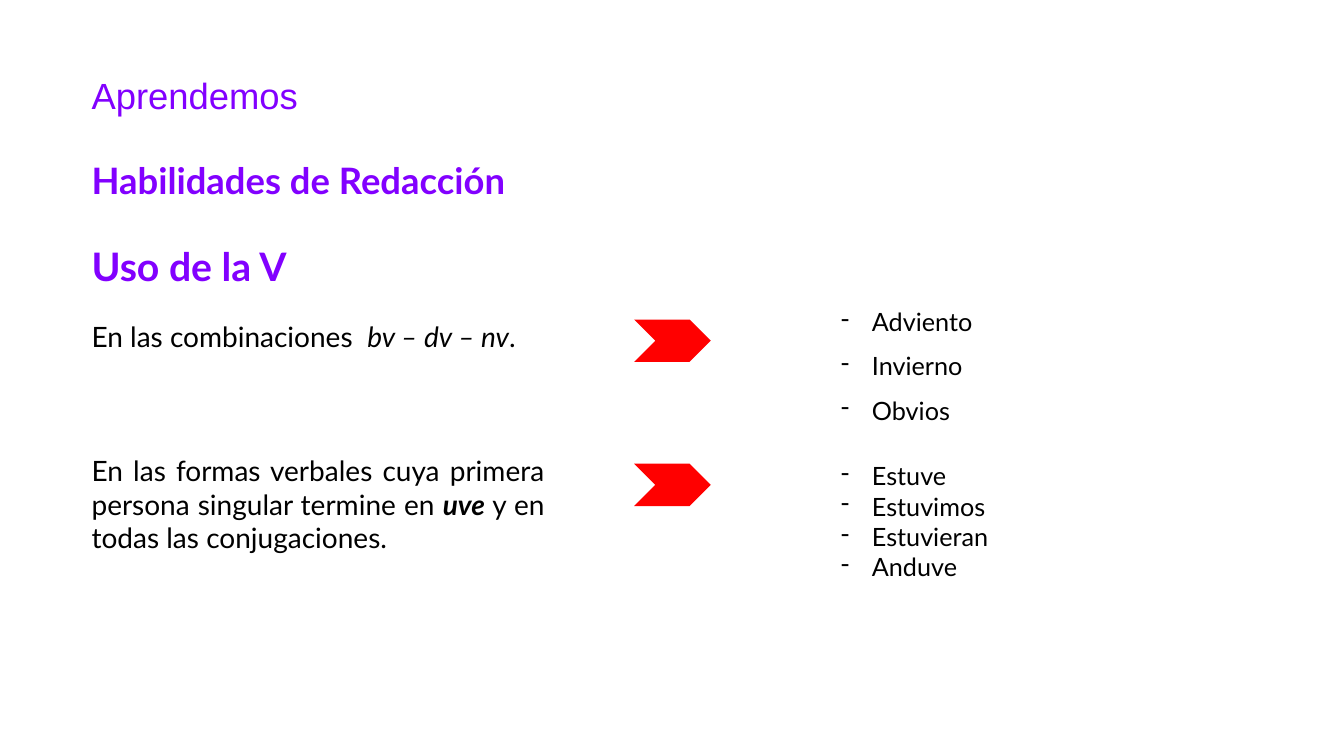
"""Build the slide on the uses of the letter V in Spanish spelling."""
from dataclasses import dataclass

import lxml.etree
import pptx
import pptx.dml.color
import pptx.enum.shapes
import pptx.enum.text
import pptx.oxml.ns
import pptx.util

PURPLE = pptx.dml.color.RGBColor(0x82, 0x00, 0xFF)
BLACK = pptx.dml.color.RGBColor(0x00, 0x00, 0x00)
RED = pptx.dml.color.RGBColor(0xFF, 0x00, 0x00)
LEFT_COLUMN, ARROW_COLUMN, EXAMPLE_COLUMN = 0.81, 6.29, 8.24
BULLET_INDENT = pptx.util.Inches(0.31)
Align = pptx.enum.text.PP_ALIGN
Anchor = pptx.enum.text.MSO_ANCHOR


@dataclass(frozen=True)
class Span:
    text: str
    bold: bool = False
    italic: bool = False


@dataclass(frozen=True)
class TextBlock:
    left: float
    top: float
    width: float
    height: float
    size: int
    paras: tuple[tuple[Span, ...], ...]
    color: pptx.dml.color.RGBColor = BLACK
    font: str = "Lato"
    align: Align = Align.LEFT
    anchor: Anchor = Anchor.TOP
    line_spacing: float = 1.0
    space_before: int = 10
    bulleted: bool = False


def list_items(*words: str) -> tuple[tuple[Span, ...], ...]:
    return tuple((Span(word),) for word in words)


HEADINGS = (
    TextBlock(LEFT_COLUMN, 0.73, 11.73, 0.42, 26, list_items("Aprendemos"),
              PURPLE, font="Arial", line_spacing=0.9, space_before=0),
    TextBlock(LEFT_COLUMN, 1.52, 6.3, 0.59, 26,
              ((Span("Habilidades de Redacción", bold=True),),),
              PURPLE, anchor=Anchor.MIDDLE, line_spacing=0.9),
    TextBlock(LEFT_COLUMN, 2.41, 2.32, 0.53, 28,
              ((Span("Uso de la V", bold=True),),), PURPLE, line_spacing=0.9),
)
RULES = (
    TextBlock(LEFT_COLUMN, 3.12, 4.67, 0.33, 20,
              ((Span("En las combinaciones  "),
                Span("bv – dv – nv", italic=True), Span(".")),),
              align=Align.JUSTIFY),
    TextBlock(LEFT_COLUMN, 4.45, 4.69, 1.45, 20,
              ((Span("En las formas verbales cuya primera persona singular termine en "),
                Span("uve", bold=True, italic=True),
                Span(" y en todas las conjugaciones. ")),),
              align=Align.JUSTIFY),
)
EXAMPLES = (
    TextBlock(EXAMPLE_COLUMN, 2.99, 1.65, 1.29, 18,
              list_items("Adviento", "Invierno", "Obvios"), bulleted=True),
    TextBlock(EXAMPLE_COLUMN, 4.52, 2.03, 1.31, 18,
              list_items("Estuve", "Estuvimos", "Estuvieran", "Anduve"),
              space_before=0, bulleted=True),
)
ARROW_TOPS = (3.17, 4.6)


def add_bullet(para: pptx.text.text._Paragraph) -> None:
    properties = para._p.get_or_add_pPr()
    properties.set("marL", str(BULLET_INDENT))
    properties.set("indent", str(-BULLET_INDENT))
    bullet = lxml.etree.SubElement(properties, pptx.oxml.ns.qn("a:buChar"))
    bullet.set("char", "‐")


def add_text(page: pptx.slide.Slide, block: TextBlock) -> None:
    box = page.shapes.add_textbox(*map(
        pptx.util.Inches, (block.left, block.top, block.width, block.height)))
    frame = box.text_frame
    frame.word_wrap = True
    frame.vertical_anchor = block.anchor
    for index, spans in enumerate(block.paras):
        para = frame.add_paragraph() if index else frame.paragraphs[0]
        para.alignment = block.align
        para.line_spacing = block.line_spacing
        para.space_before = pptx.util.Pt(block.space_before)
        if block.bulleted:
            add_bullet(para)
        for span in spans:
            run = para.add_run()
            run.text = span.text
            run.font.name = block.font
            run.font.size = pptx.util.Pt(block.size)
            run.font.color.rgb = block.color
            run.font.bold = span.bold
            run.font.italic = span.italic


def add_arrow(page: pptx.slide.Slide, top: float) -> None:
    arrow = page.shapes.add_shape(
        pptx.enum.shapes.MSO_SHAPE.CHEVRON,
        *map(pptx.util.Inches, (ARROW_COLUMN, top, 0.76, 0.42)))
    arrow.shadow.inherit = False
    arrow.fill.solid()
    arrow.fill.fore_color.rgb = RED
    arrow.line.fill.background()


def main() -> None:
    deck = pptx.Presentation()
    deck.slide_width = pptx.util.Inches(13.33)
    deck.slide_height = pptx.util.Inches(7.5)
    page = deck.slides.add_slide(deck.slide_layouts[6])
    for block in HEADINGS + RULES + EXAMPLES:
        add_text(page, block)
    for top in ARROW_TOPS:
        add_arrow(page, top)
    deck.save("out.pptx")


if __name__ == "__main__":
    main()
